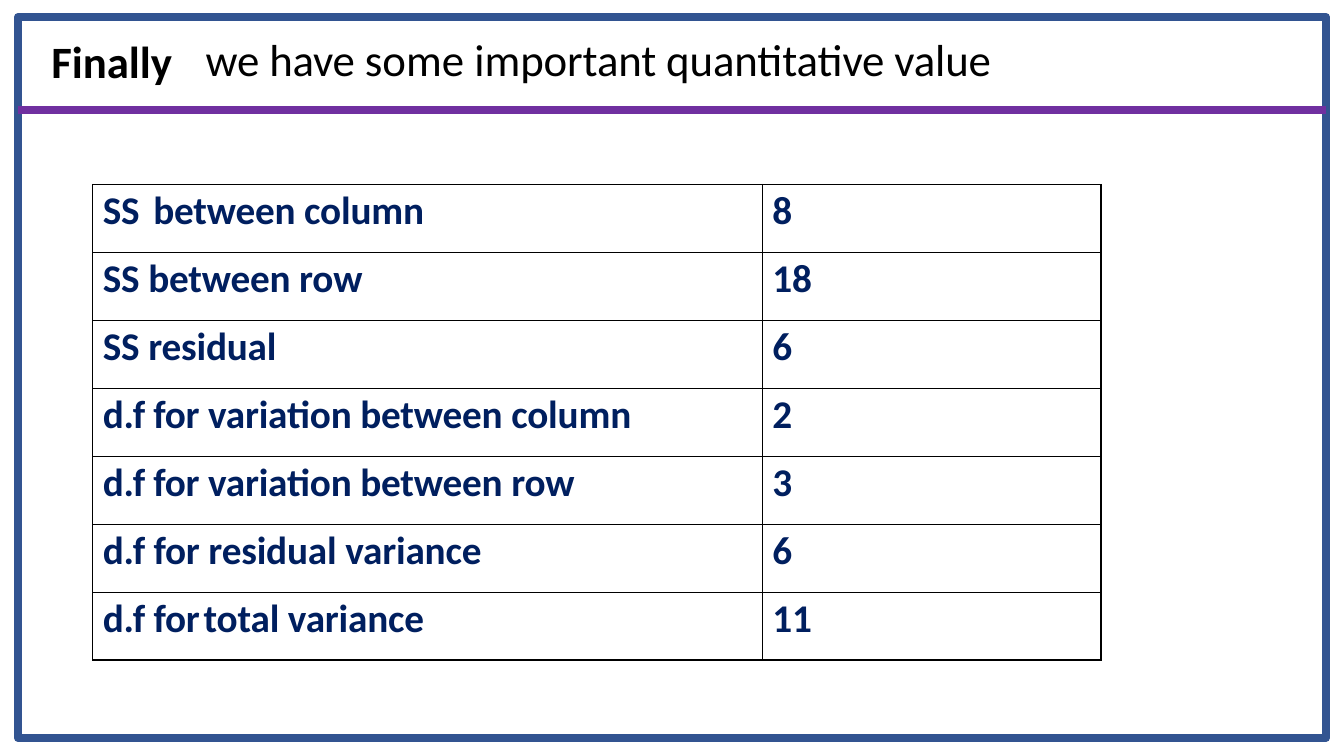
from dataclasses import dataclass

from lxml import etree
from pptx import Presentation
from pptx.dml.color import RGBColor
from pptx.enum.shapes import MSO_CONNECTOR, MSO_SHAPE
from pptx.enum.text import MSO_ANCHOR, MSO_AUTO_SIZE
from pptx.oxml.ns import qn
from pptx.util import Pt

PX = 9144  # EMU per px, 100 px to the inch
RECT = MSO_SHAPE.RECTANGLE
STRAIGHT = MSO_CONNECTOR.STRAIGHT
TOP, MIDDLE = MSO_ANCHOR.TOP, MSO_ANCHOR.MIDDLE
GROW = MSO_AUTO_SIZE.SHAPE_TO_FIT_TEXT


@dataclass(frozen=True)
class Theme:
    font: str = "Calibri"
    black: str = "000000"
    navy: str = "001F5F"
    frame: str = "325491"
    rule: str = "7030A0"
    heading: int = 32
    body: int = 28
    thick: int = 6
    border: int = 1


THEME = Theme()

# Label runs as (text, letter spacing in 1/100 pt), tab stop in px, value
ROWS = [
    ([("SS\tbetween column", -10)], 64, "8"),
    ([("SS between row", -10)], None, "18"),
    ([("SS residual", -10)], None, "6"),
    ([("d.f\tfor ", -20), ("variation between column", -10)], 70, "2"),
    ([("d.f\tfor ", -20), ("variation between row", -10)], 70, "3"),
    ([("d.f for ", -20), ("residual variance", -10)], None, "6"),
    ([("d.f for\t", -20), ("total variance", -10)], 126, "11"),
]


def px(*lengths):
    return [n * PX for n in lengths]


def rgb(code):
    return RGBColor.from_string(code)


def write(p, runs, size, color, bold=False, before=1.1, indent=1, tab=None):
    p.space_before = Pt(before)
    pPr = p._p.get_or_add_pPr()
    pPr.set("marL", str(indent * PX))
    pPr.set("indent", "0")
    if tab:
        stops = etree.SubElement(pPr, qn("a:tabLst"))
        etree.SubElement(stops, qn("a:tab"), pos=str(tab * PX), algn="l")
    for text, spacing in runs:
        r = p.add_run()
        r.text = text
        r.font.name = THEME.font
        r.font.size = Pt(size)
        r.font.bold = bold
        r.font.color.rgb = rgb(color)
        r._r.get_or_add_rPr().set("spc", str(spacing))


def add_text(s, box, runs, bold=False, anchor=TOP, line_spacing=None):
    tf = s.shapes.add_textbox(*px(*box)).text_frame
    tf.word_wrap = True
    tf.auto_size = GROW
    tf.vertical_anchor = anchor
    tf.margin_left, tf.margin_top, tf.margin_right, tf.margin_bottom = px(0, 1, 0, 0)
    p = tf.paragraphs[0]
    p.line_spacing = line_spacing
    write(p, runs, THEME.heading, THEME.black, bold)


def add_borders(cell):
    tcPr = cell._tc.get_or_add_tcPr()
    for side in ("a:lnL", "a:lnR", "a:lnT", "a:lnB"):
        ln = etree.SubElement(tcPr, qn(side), w=str(Pt(THEME.border)))
        fill = etree.SubElement(ln, qn("a:solidFill"))
        etree.SubElement(fill, qn("a:srgbClr"), val=THEME.black)


def fill_cell(cell, runs, tab=None):
    cell.margin_left, cell.margin_top, cell.margin_right, cell.margin_bottom = px(0, 3, 0, 0)
    add_borders(cell)
    cell.fill.background()
    write(cell.text_frame.paragraphs[0], runs, THEME.body, THEME.navy,
          bold=True, before=1.8, indent=10, tab=tab)


def add_values(s, box, widths):
    table = s.shapes.add_table(len(ROWS), len(widths), *px(*box)).table
    table.first_row = table.horz_banding = False
    for column, width in zip(table.columns, px(*widths)):
        column.width = width
    for i, (label, tab, value) in enumerate(ROWS):
        fill_cell(table.cell(i, 0), label, tab)
        fill_cell(table.cell(i, 1), [(value, 0)])


def add_frame(s, box):
    sp = s.shapes.add_shape(RECT, *px(*box))
    sp.shadow.inherit = False
    sp.fill.background()
    sp.line.color.rgb = rgb(THEME.frame)
    sp.line.width = Pt(THEME.thick)


def add_rule(s, x1, x2, y):
    line = s.shapes.add_connector(STRAIGHT, *px(x1, y, x2, y))
    line.line.color.rgb = rgb(THEME.rule)
    line.line.width = Pt(THEME.thick)
    etree.SubElement(line._element.spPr, qn("a:effectLst"))


def main():
    prs = Presentation()
    prs.slide_width, prs.slide_height = px(1333, 750)
    s = prs.slides.add_slide(prs.slide_layouts[6])

    # Heading
    add_text(s, (50, 32, 123, 56), [("Finally", 0)], bold=True)
    add_text(s, (203, 36, 926, 50),
             [("we ", -10), ("have ", -20), ("some ", 0),
              ("important quantitative value", -10)],
             anchor=MIDDLE, line_spacing=0.9)

    # Table of values
    add_values(s, (92, 183, 1000, 472), (664, 336))

    # Frame and rule under the heading
    add_frame(s, (18, 17, 1297, 715))
    add_rule(s, 18, 1315, 109)

    prs.save("out.pptx")


if __name__ == "__main__":
    main()
